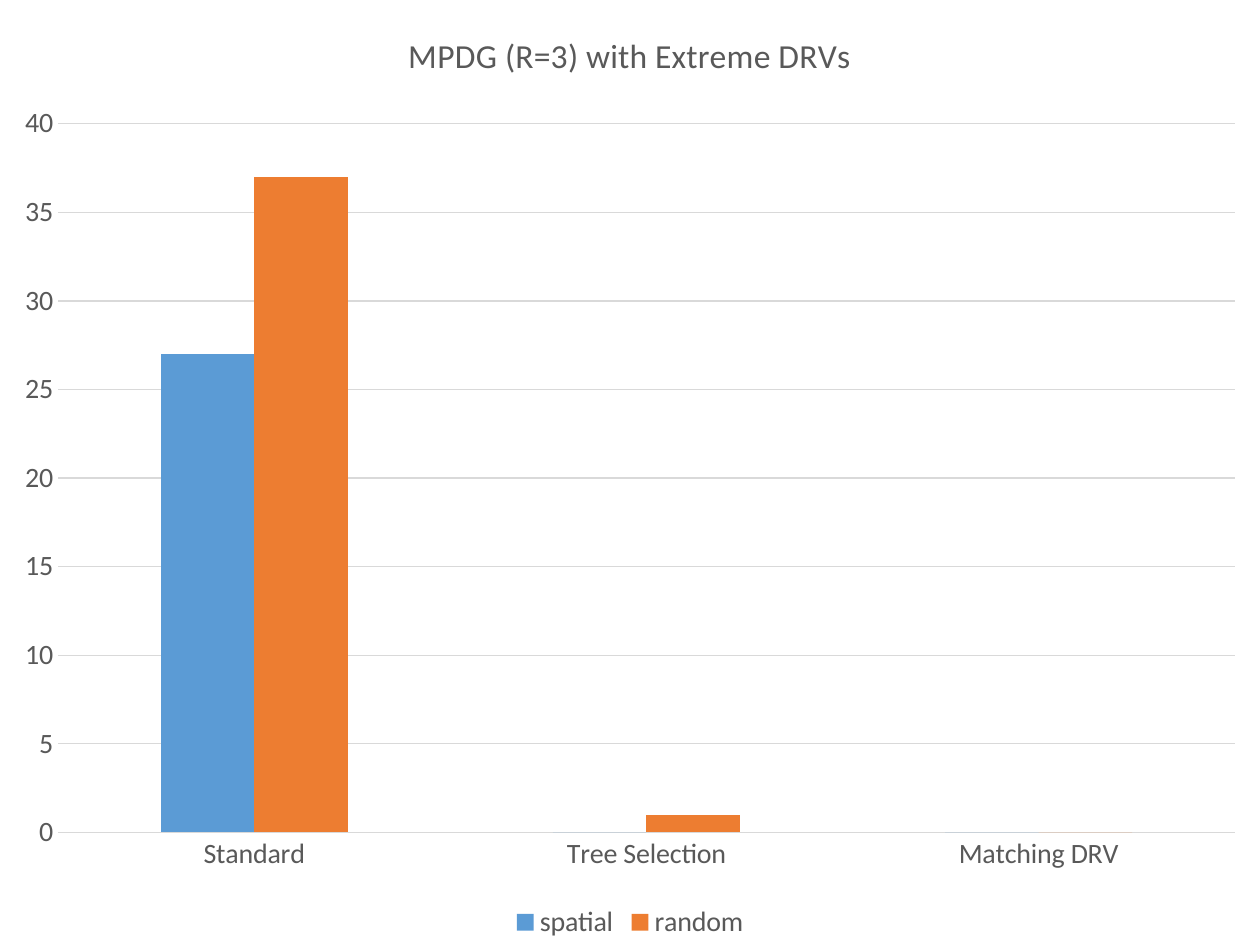
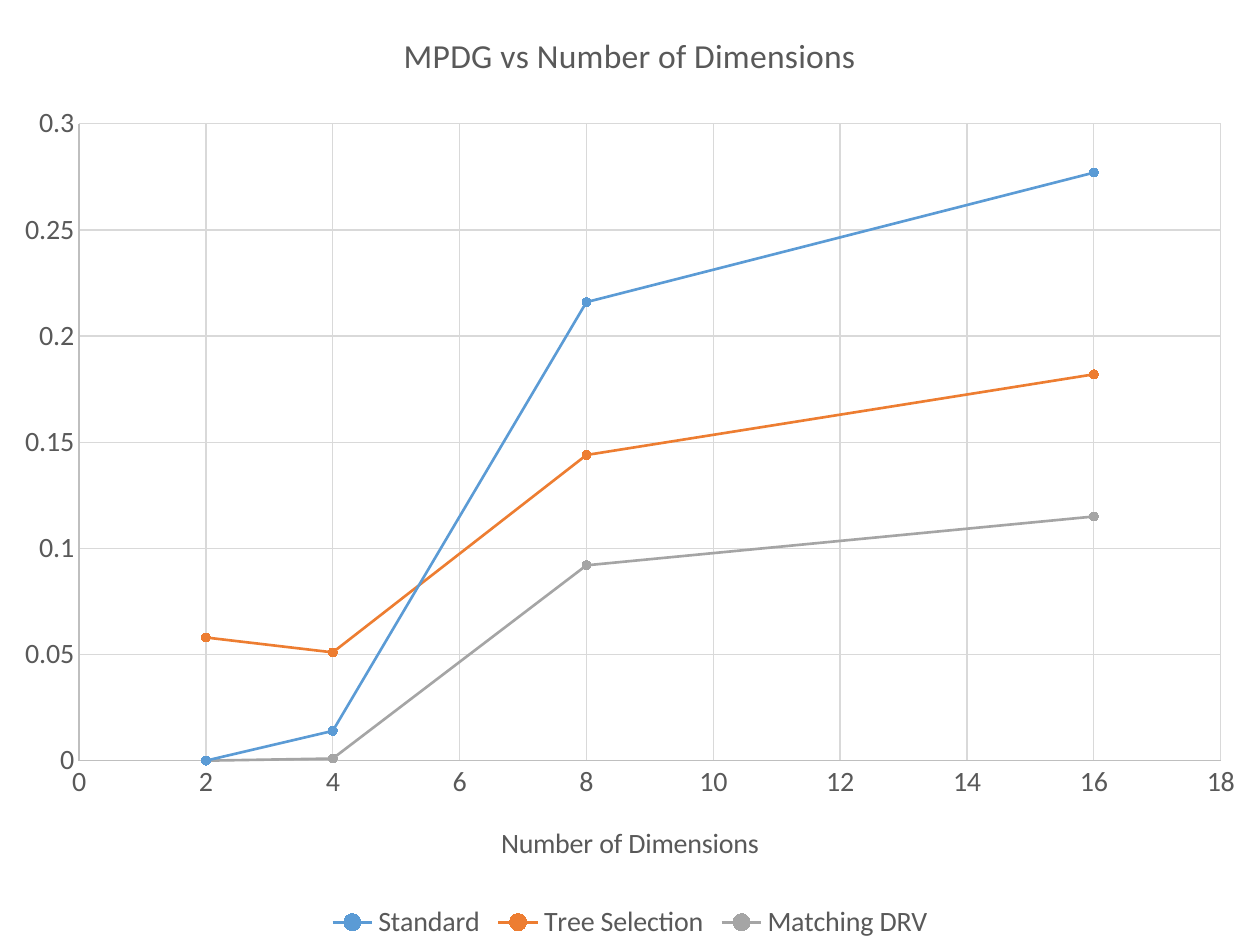
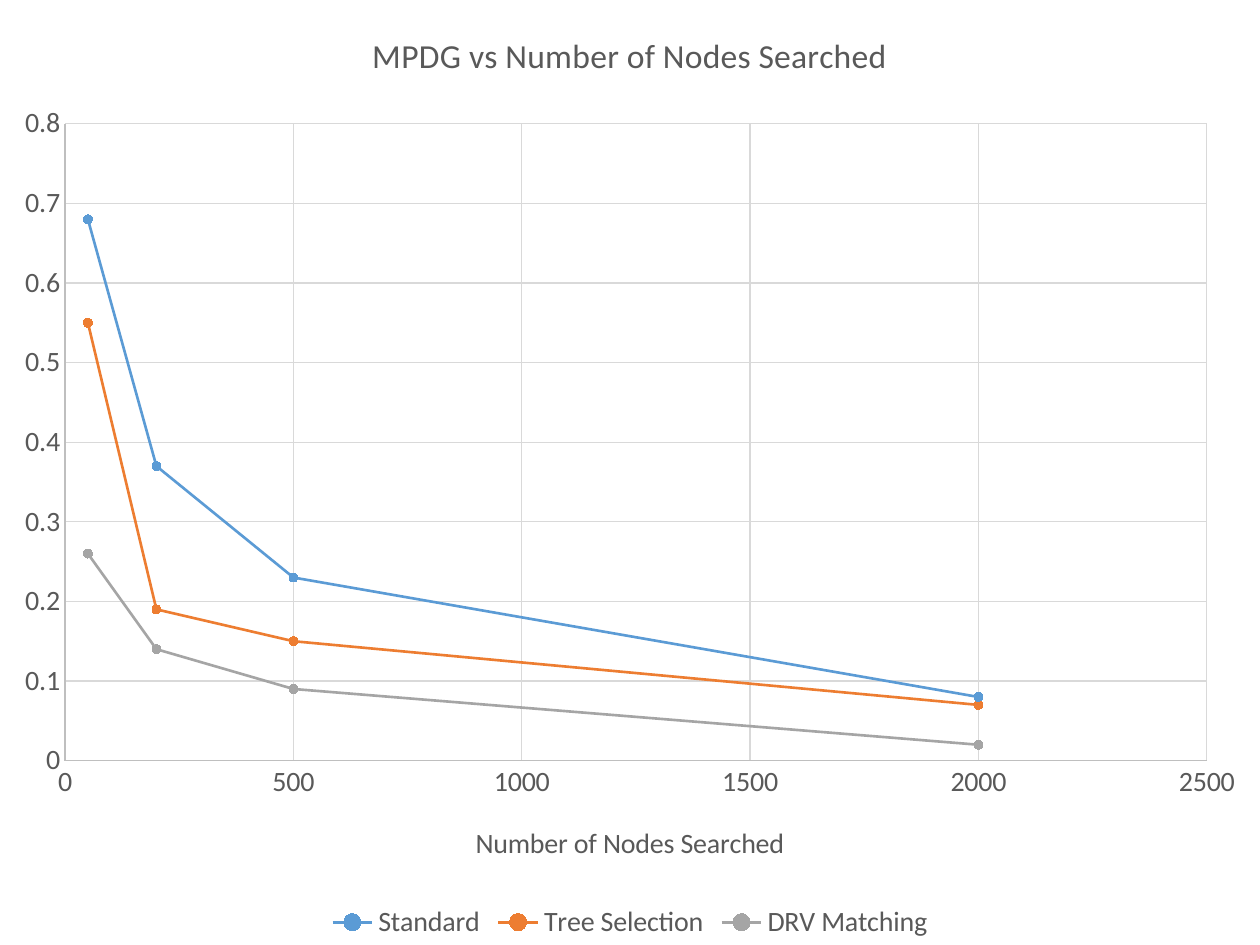
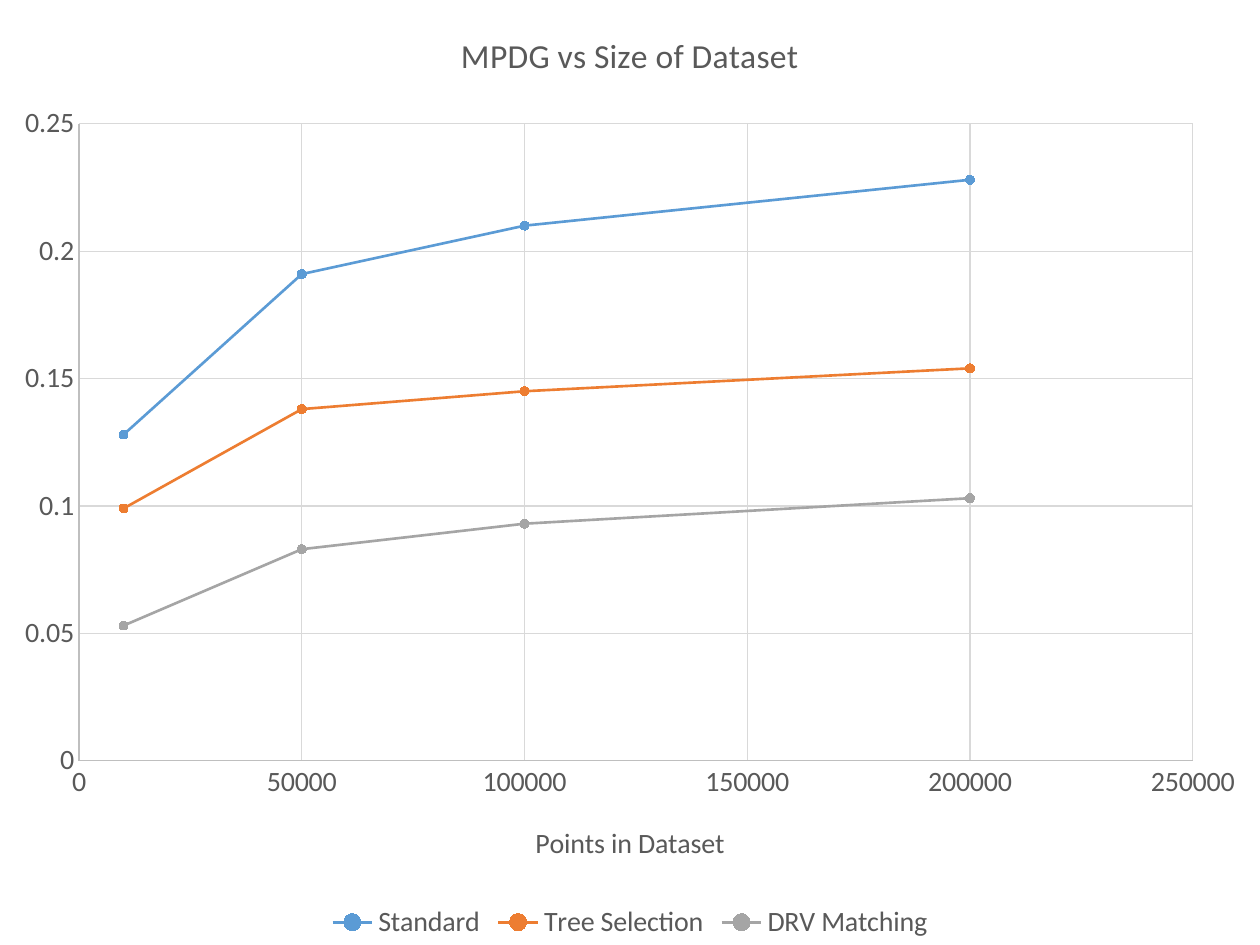
from pptx import Presentation
from pptx import util as u
from pptx.chart import data as chart_data
from pptx.dml.color import RGBColor
from pptx.enum import chart as ch

BLUE = RGBColor(0x5B, 0x9B, 0xD5)
ORANGE = RGBColor(0xED, 0x7D, 0x31)
GRAY = RGBColor(0xA5, 0xA5, 0xA5)
SERIES_COLORS = (BLUE, ORANGE, GRAY)
INK = RGBColor(0x59, 0x59, 0x59)
GRID = RGBColor(0xD9, 0xD9, 0xD9)
AXIS = RGBColor(0xBF, 0xBF, 0xBF)
FONT = "Calibri"
LABEL_SIZE = 16
TITLE_SIZE = 19.2
WIDTH, HEIGHT = u.Inches(10), u.Inches(7.5)

METHODS = ("Standard", "Tree Selection", "Matching DRV")
SWEEP_METHODS = ("Standard", "Tree Selection", "DRV Matching")


def style_font(font, size=LABEL_SIZE):
    """Apply the shared chart lettering."""
    font.name, font.size, font.bold = FONT, u.Pt(size), False
    font.color.rgb = INK


def style_line(line, color, width=0.75):
    """Set a solid line's colour and width in points."""
    line.color.rgb, line.width = color, u.Pt(width)


def write_title(owner, words, size):
    """Give a chart or an axis its title."""
    owner.has_title = True
    title = owner.chart_title if hasattr(owner, "chart_title") else owner.axis_title
    run = title.text_frame.paragraphs[0].add_run()
    run.text = words
    style_font(run.font, size)


def style_axis(axis, color=None, grid=True):
    """Set an axis line, its labels and its gridlines."""
    axis.major_tick_mark = axis.minor_tick_mark = ch.XL_TICK_MARK.NONE
    style_font(axis.tick_labels.font)
    axis.has_major_gridlines = grid
    if grid:
        style_line(axis.major_gridlines.format.line, GRID)
    if color is None:
        axis.format.line.fill.background()
    else:
        style_line(axis.format.line, color)


def add_full_chart(prs, kind, data, title):
    """Add a slide filled by one chart with a title and a bottom legend."""
    slide = prs.slides.add_slide(prs.slide_layouts[6])
    chart = slide.shapes.add_chart(kind, 0, 0, WIDTH, HEIGHT, data).chart
    chart.font.name, chart.font.size = FONT, u.Pt(LABEL_SIZE)
    write_title(chart, title, TITLE_SIZE)
    chart.has_legend = True
    chart.legend.position = ch.XL_LEGEND_POSITION.BOTTOM
    chart.legend.include_in_layout = False
    style_font(chart.legend.font)
    chart.plots[0].vary_by_categories = False
    return chart


def add_column_slide(prs, title, categories, groups):
    """Add a slide of clustered columns."""
    data = chart_data.CategoryChartData()
    data.categories = categories
    for name, gaps in groups.items():
        data.add_series(name, gaps)
    chart = add_full_chart(prs, ch.XL_CHART_TYPE.COLUMN_CLUSTERED, data, title)
    style_axis(chart.category_axis, GRID, grid=False)
    style_axis(chart.value_axis)
    columns = chart.plots[0]
    columns.gap_width, columns.overlap = 219, 0
    for series, color in zip(columns.series, SERIES_COLORS):
        series.format.fill.solid()
        series.format.fill.fore_color.rgb = color


def add_sweep_slide(prs, title, x_title, x_values, methods, rows):
    """Add a slide of marked lines, one for each method."""
    data = chart_data.XyChartData()
    for method, gaps in zip(methods, rows):
        points = data.add_series(method)
        for x, gap in zip(x_values, gaps):
            points.add_data_point(x, gap)
    chart = add_full_chart(prs, ch.XL_CHART_TYPE.XY_SCATTER_LINES, data, title)
    for axis in (chart.category_axis, chart.value_axis):
        style_axis(axis, AXIS)
    write_title(chart.category_axis, x_title, LABEL_SIZE)
    for series, color in zip(chart.plots[0].series, SERIES_COLORS):
        series.smooth = False
        style_line(series.format.line, color, 1.5)
        marker = series.marker
        marker.style, marker.size = ch.XL_MARKER_STYLE.CIRCLE, 5
        marker.format.fill.solid()
        marker.format.fill.fore_color.rgb = color
        style_line(marker.format.line, color)


def main():
    """Build the four result slides."""
    prs = Presentation()
    prs.slide_width, prs.slide_height = WIDTH, HEIGHT
    add_column_slide(prs, "MPDG (R=3) with Extreme DRVs", METHODS,
                     {"spatial": (27, 0, 0), "random": (37, 1, 0)})
    add_sweep_slide(prs, "MPDG vs Number of Dimensions", "Number of Dimensions",
                    (2, 4, 8, 16), METHODS,
                    ((0, 0.014, 0.216, 0.277),
                     (0.058, 0.051, 0.144, 0.182),
                     (0, 0.001, 0.092, 0.115)))
    add_sweep_slide(prs, "MPDG vs Number of Nodes Searched", "Number of Nodes Searched",
                    (50, 200, 500, 2000), SWEEP_METHODS,
                    ((0.68, 0.37, 0.23, 0.08),
                     (0.55, 0.19, 0.15, 0.07),
                     (0.26, 0.14, 0.09, 0.02)))
    add_sweep_slide(prs, "MPDG vs Size of Dataset", "Points in Dataset",
                    (10000, 50000, 100000, 200000), SWEEP_METHODS,
                    ((0.128, 0.191, 0.21, 0.228),
                     (0.099, 0.138, 0.145, 0.154),
                     (0.053, 0.083, 0.093, 0.103)))
    prs.save("out.pptx")


if __name__ == "__main__":
    main()
